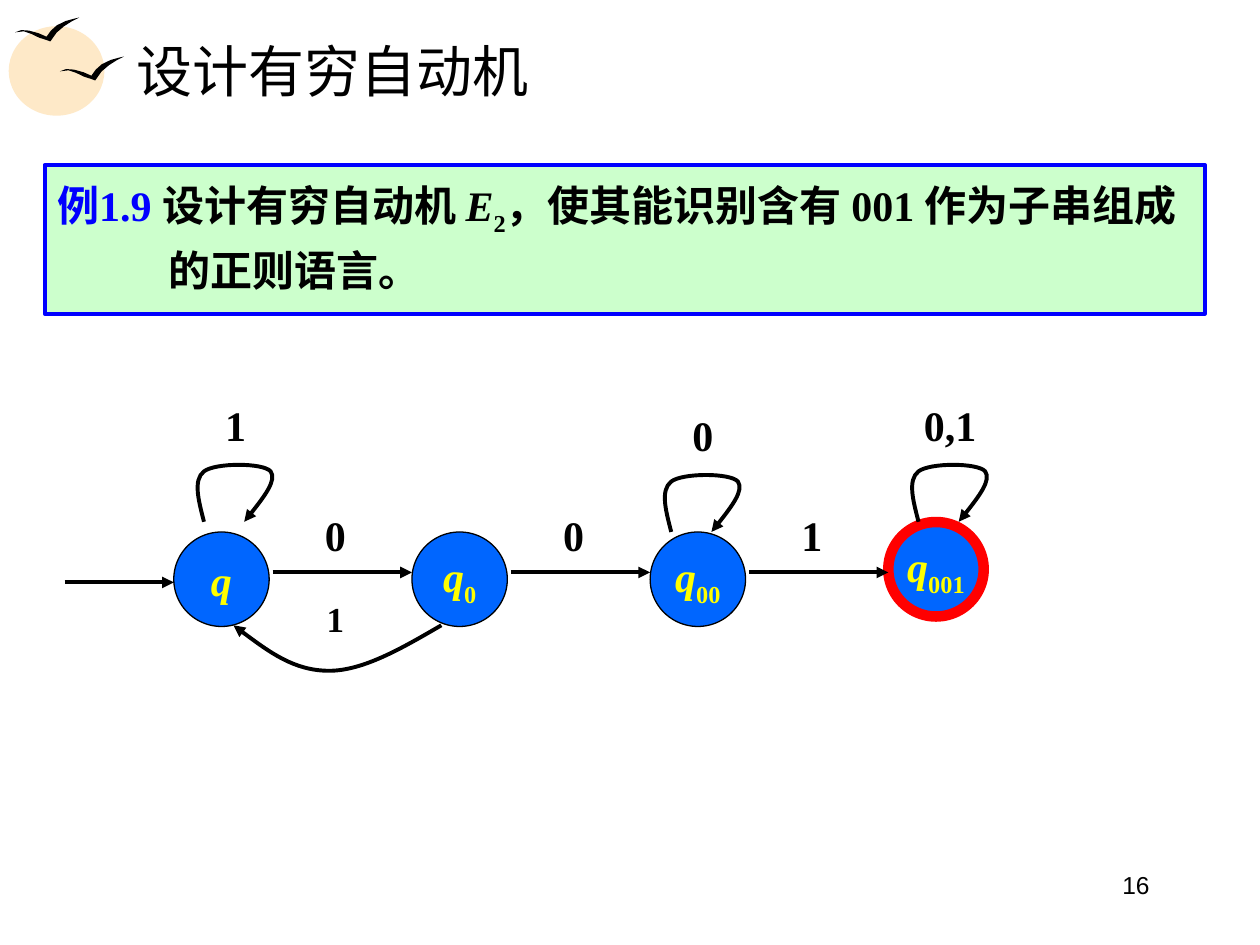
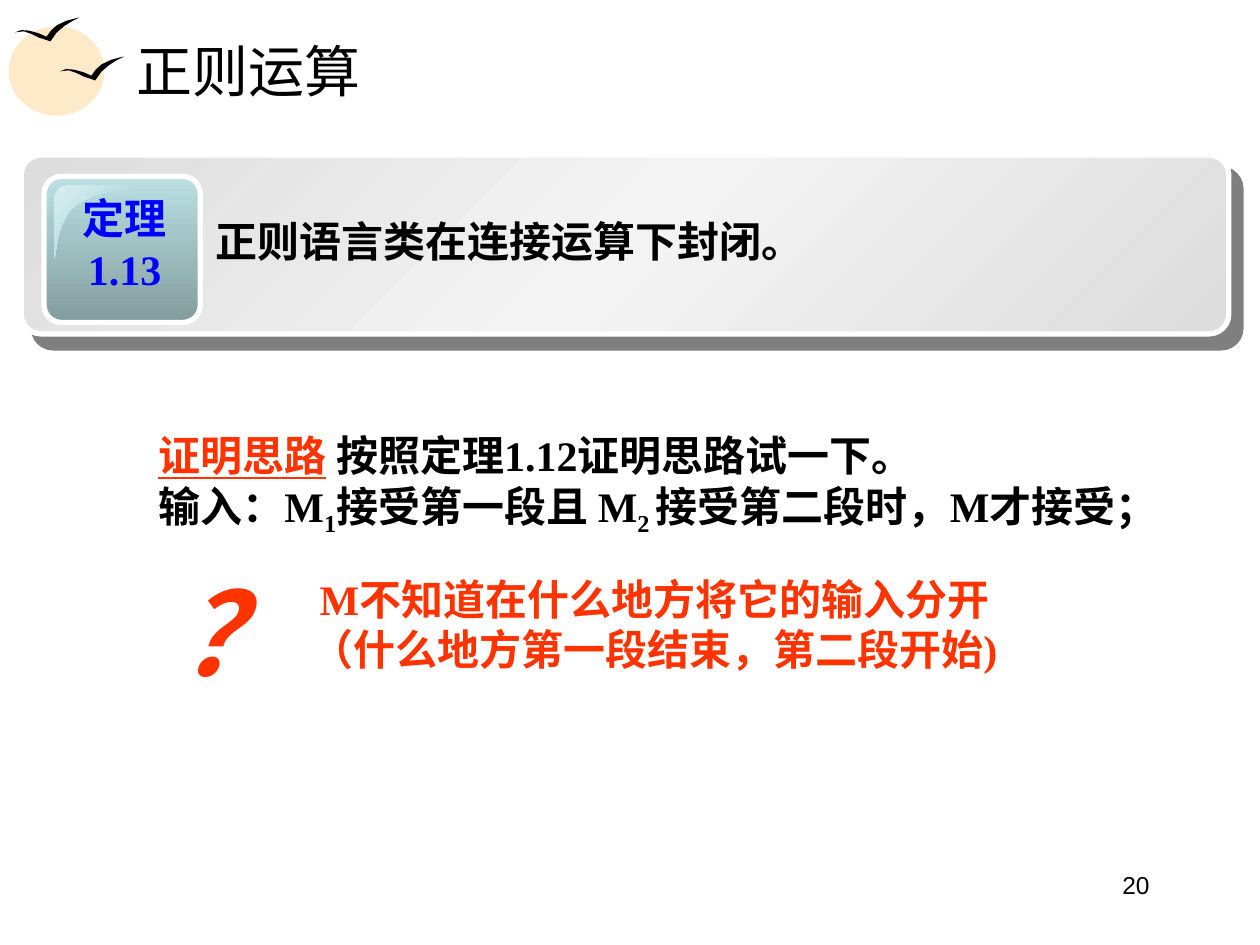
import pptx
import pptx.util
import pptx.dml.color
import pptx.enum.lang
import pptx.enum.shapes
import pptx.enum.text
import pptx.oxml
import pptx.oxml.ns

Pt = pptx.util.Pt
qn = pptx.oxml.ns.qn
ALIGN = pptx.enum.text.PP_ALIGN
ANCHOR = pptx.enum.text.MSO_ANCHOR
SHAPE = pptx.enum.shapes.MSO_SHAPE

BLACK = "000000"
WHITE = "FFFFFF"
BLUE = "0000FF"
RED = "FF3300"
YELLOW = "FFFF00"
SERIF = "Times New Roman"
SUBSCRIPT = {"baseline": "-25000"}


def color(hex_string):
    return pptx.dml.color.RGBColor.from_string(hex_string)


def xml(source):
    namespace = pptx.oxml.ns.nsdecls("a")
    return pptx.oxml.parse_xml(source.replace(" ", f" {namespace} ", 1))


def style(shape, fill=None, line=None, width=0.75):
    shape.shadow.inherit = False
    if fill:
        shape.fill.solid()
        shape.fill.fore_color.rgb = color(fill)
    else:
        shape.fill.background()
    if line:
        shape.line.color.rgb = color(line)
        shape.line.width = Pt(width)
    else:
        shape.line.fill.background()


def gradient(shape, stops, angle):
    stop_list = "".join(
        f'<a:gs pos="{position * 1000}"><a:srgbClr val="{value}"/></a:gs>'
        for position, value in stops)
    shape.fill.background()
    properties = shape._element.spPr
    properties.replace(properties.find(qn("a:noFill")), xml(
        f'<a:gradFill rotWithShape="1"><a:gsLst>{stop_list}</a:gsLst>'
        f'<a:lin ang="{angle * 60000}" scaled="1"/></a:gradFill>'))


def add_arrowhead(shape):
    line = shape._element.spPr.find(qn("a:ln"))
    line.append(xml('<a:tailEnd type="triangle"/>'))


def arrow(slide, x1, x2, y):
    line = slide.shapes.add_connector(
        pptx.enum.shapes.MSO_CONNECTOR.STRAIGHT, Pt(x1), Pt(y), Pt(x2), Pt(y))
    line.line.color.rgb = color(BLACK)
    line.line.width = Pt(2.25)
    line._element.spPr.append(xml("<a:effectLst />"))
    add_arrowhead(line)


def outline(slide, x, y, start, segments, close=False):
    points = [(Pt(x + px), Pt(y + py)) for segment in segments for px, py in segment]
    builder = slide.shapes.build_freeform(Pt(x + start[0]), Pt(y + start[1]))
    builder.add_line_segments(points, close=close)
    shape = builder.convert_to_shape()
    drawn = iter(list(shape._element.iter(qn("a:lnTo"))))
    for segment in segments:
        parts = [next(drawn) for _ in segment]
        if len(parts) == 3:
            curve = xml("<a:cubicBezTo />")
            parts[0].addprevious(curve)
            for part in parts:
                curve.append(part[0])
                part.getparent().remove(part)
    return shape


def curved_arrow(slide, x, y, start, segments):
    shape = outline(slide, x, y, start, segments)
    style(shape, None, BLACK, 2.25)
    add_arrowhead(shape)


def write(shape, paragraphs, size=24, font=SERIF, fill=BLACK, bold=True,
          align=ALIGN.LEFT, anchor=ANCHOR.TOP, wrap=True, inset=(7.2, 3.6), spacing=None):
    frame = shape.text_frame
    frame.word_wrap = wrap
    frame.vertical_anchor = anchor
    frame.margin_left = frame.margin_right = Pt(inset[0])
    frame.margin_top = frame.margin_bottom = Pt(inset[1])
    for index, runs in enumerate(paragraphs):
        paragraph = frame.paragraphs[0] if index == 0 else frame.add_paragraph()
        paragraph.alignment = align
        paragraph._p.get_or_add_pPr().set("hangingPunct", "0")
        if spacing:
            paragraph.line_spacing = spacing
        for words, changes in runs:
            run = paragraph.add_run()
            run.text = words
            run.font.size = Pt(size)
            run.font.name = font
            run.font.bold = bold
            run.font.italic = changes.get("italic", False)
            run.font.underline = changes.get("underline", False)
            run.font.color.rgb = color(changes.get("fill", fill))
            run.font.language_id = pptx.enum.lang.MSO_LANGUAGE_ID.SIMPLIFIED_CHINESE
            if "baseline" in changes:
                run._r.get_or_add_rPr().set("baseline", changes["baseline"])


def text(slide, x, y, w, h, paragraphs, **options):
    box = slide.shapes.add_textbox(Pt(x), Pt(y), Pt(w), Pt(h))
    write(box, paragraphs, **options)


def preset(slide, kind, x, y, w, h):
    return slide.shapes.add_shape(kind, Pt(x), Pt(y), Pt(w), Pt(h))


def emblem(slide, x, y):
    sun = preset(slide, SHAPE.OVAL, x, y, 54.7, 51.1)
    style(sun, "FEE9C8")
    wings = [(3.6, 7.2), (8, 7.5), (13.5, 9), (18, 11), (20.5, 7.5), (24, 4.4),
             (29, 2), (34, 0.6), (36.7, 0), (32.4, 2.2), (28, 5), (23.8, 8.6),
             (20.2, 13.7), (18, 12.9), (13.7, 11.5), (9.4, 9.4), (5, 7.9)]
    for dx, dy in ((29.2, 17.3), (3.6, -5)):
        bird = outline(slide, x + dx, y + dy, (0, 8.5), [[p] for p in wings], True)
        style(bird, BLACK)


def base_slide(deck, title, number):
    slide = deck.slides.add_slide(deck.slide_layouts[6])
    emblem(slide, 5, 15)
    text(slide, 496, 493.5, 168, 37.4, [[(number, {})]],
         size=14, font="Arial", bold=False, align=ALIGN.RIGHT)
    text(slide, 71, 15.1, 614, 49.7, [[(title, {})]],
         size=32, bold=False, anchor=ANCHOR.MIDDLE)
    return slide


def example_box(slide, x, y, w, h):
    box = preset(slide, SHAPE.RECTANGLE, x, y, w, h)
    style(box, "CCFFCC", BLUE, 2.25)
    write(box, [[("例1.9 ", {"fill": BLUE}), ("设计有穷自动机 ", {}),
                 ("E", {"italic": True}), ("2", SUBSCRIPT),
                 ("，使其能识别含有 001 作为子串组成的正则语言。", {})]], spacing=1.15)
    properties = box.text_frame.paragraphs[0]._p.get_or_add_pPr()
    properties.set("marL", str(Pt(63.5)))
    properties.set("indent", str(-Pt(63.5)))


def symbol(slide, center, y, words, size=24):
    width = 14.4 + 14 * len(words)
    text(slide, center - width / 2, y, width, 36, [[(words, {})]],
         size=size, align=ALIGN.CENTER, wrap=False)


def state(slide, x, y, index, line, width):
    circle = preset(slide, SHAPE.OVAL, x, y, 54.5, 54)
    style(circle, "0066FF", line, width)
    runs = [("q", {"italic": True})] + ([(index, SUBSCRIPT)] if index else [])
    write(circle, [runs], fill=YELLOW, align=ALIGN.CENTER,
          anchor=ANCHOR.MIDDLE, wrap=False)


def self_loop(slide, x, y, words):
    curved_arrow(slide, x, y, (6.5, 33.8), [
        [(3.6, 22.3), (0, 10), (6.5, 5)],
        [(13, 0), (40.3, 0), (44.6, 5)],
        [(48.2, 10), (38.9, 22.3), (29.5, 33.8)]])
    symbol(slide, x + 24.5, y - 39.6, words)


def automaton(slide, x, y):
    pitch = 136.1
    lefts = [x + 62.4 + pitch * i for i in range(4)]
    for left, index in zip(lefts, ("", "0", "00")):
        state(slide, left, y + 79.2, index, BLACK, 0.75)
    state(slide, lefts[3], y + 73.5, "001", "FF0000", 6)
    arrow(slide, x, lefts[0], y + 108)
    for left, words in zip(lefts, "001"):
        arrow(slide, left + 56.5, left + pitch, y + 102.3)
        symbol(slide, left + 92.4, y + 62.7, words)
    for left, dx, dy, words in ((lefts[0], 10.8, 39.6, "1"),
                                (lefts[2], 5.6, 45.4, "0"),
                                (lefts[3], 10.8, 39.6, "0,1")):
        self_loop(slide, left + dx, y + dy, words)
    curved_arrow(slide, x + 96.5, y + 132.5, (118.8, 0), [
        [(96.5, 13), (74.2, 26), (54.7, 26)],
        [(34.6, 26), (17.3, 13), (0, 0)]])
    symbol(slide, lefts[0] + 92.4, y + 113, "1", 20)


def theorem_banner(slide, x, y, w, h):
    panel = preset(slide, SHAPE.ROUNDED_RECTANGLE, x, y, w, h)
    panel.adjustments[0] = 0.11
    style(panel, WHITE, WHITE, 3)
    gradient(panel, [(0, "DDDDDD"), (50, "F3F3F3"), (100, "DDDDDD")], 45)
    panel._element.spPr.find(qn("a:effectLst")).append(xml(
        f'<a:outerShdw dist="{Pt(10.6)}" dir="{49 * 60000}" algn="ctr" rotWithShape="0">'
        '<a:srgbClr val="000000"><a:alpha val="50000"/></a:srgbClr></a:outerShdw>'))
    badge = preset(slide, SHAPE.ROUNDED_RECTANGLE, x + 13, y + 12.2, 89.3, 83.5)
    badge.adjustments[0] = 0.12
    style(badge, WHITE, WHITE, 3)
    gradient(badge, [(0, "BBE0E3"), (100, "839C9E")], 90)
    gloss = outline(slide, x + 18.7, y + 17.3, (8.6, 0), [
        [(3.6, 0), (0, 3.6), (0, 8.6)],
        [(0, 41.8)],
        [(1.4, 41.8), (0.7, 21.6), (11.5, 12.2)],
        [(23, 2.9), (43.9, 2.2), (43.2, 0)]], True)
    style(gloss)
    gradient(gloss, [(0, "DAEEF0"), (50, "BBE0E3"), (100, "DAEEF0")], 45)
    text(slide, x + 25.2, y + 18, 67.7, 64.8, [[("定理", {})], [("1.13", {})]],
         fill=BLUE, align=ALIGN.CENTER)
    text(slide, x + 103.7, y + 28.4, 576, 39, [[("正则语言类在连接运算下封闭。", {})]],
         spacing=1.1)


def proof_idea(slide, x, y, w):
    text(slide, x, y, w, 69, [
        [("证明思路", {"fill": RED, "underline": True}),
         (" 按照定理1.12证明思路试一下。", {})],
        [("输入：M", {}), ("1", SUBSCRIPT), ("接受第一段且 M", {}),
         ("2 ", SUBSCRIPT), ("接受第二段时，M才接受；", {})]])
    text(slide, x + 18.7, y + 78.5, 66, 79, [[("？", {"italic": True})]],
         size=66, font="Comic Neue", fill=RED, wrap=False, inset=(0, 0))
    text(slide, x + 91.4, y + 85.7, 398, 57.6, [
        [("M不知道在什么地方将它的输入分开", {})],
        [("（什么地方第一段结束，第二段开始)", {})]],
        fill=RED, align=ALIGN.CENTER, wrap=False, inset=(0, 0))


def main():
    deck = pptx.Presentation()
    deck.slide_width = Pt(720)
    deck.slide_height = Pt(540)

    design = base_slide(deck, "设计有穷自动机", "16")
    example_box(design, 25.5, 94.3, 663, 85)
    automaton(design, 36.9, 224.8)

    operations = base_slide(deck, "正则运算", "20")
    theorem_banner(operations, 12.2, 88.6, 690, 102.2)
    proof_idea(operations, 83.5, 242, 595)

    deck.save("out.pptx")


if __name__ == "__main__":
    main()
